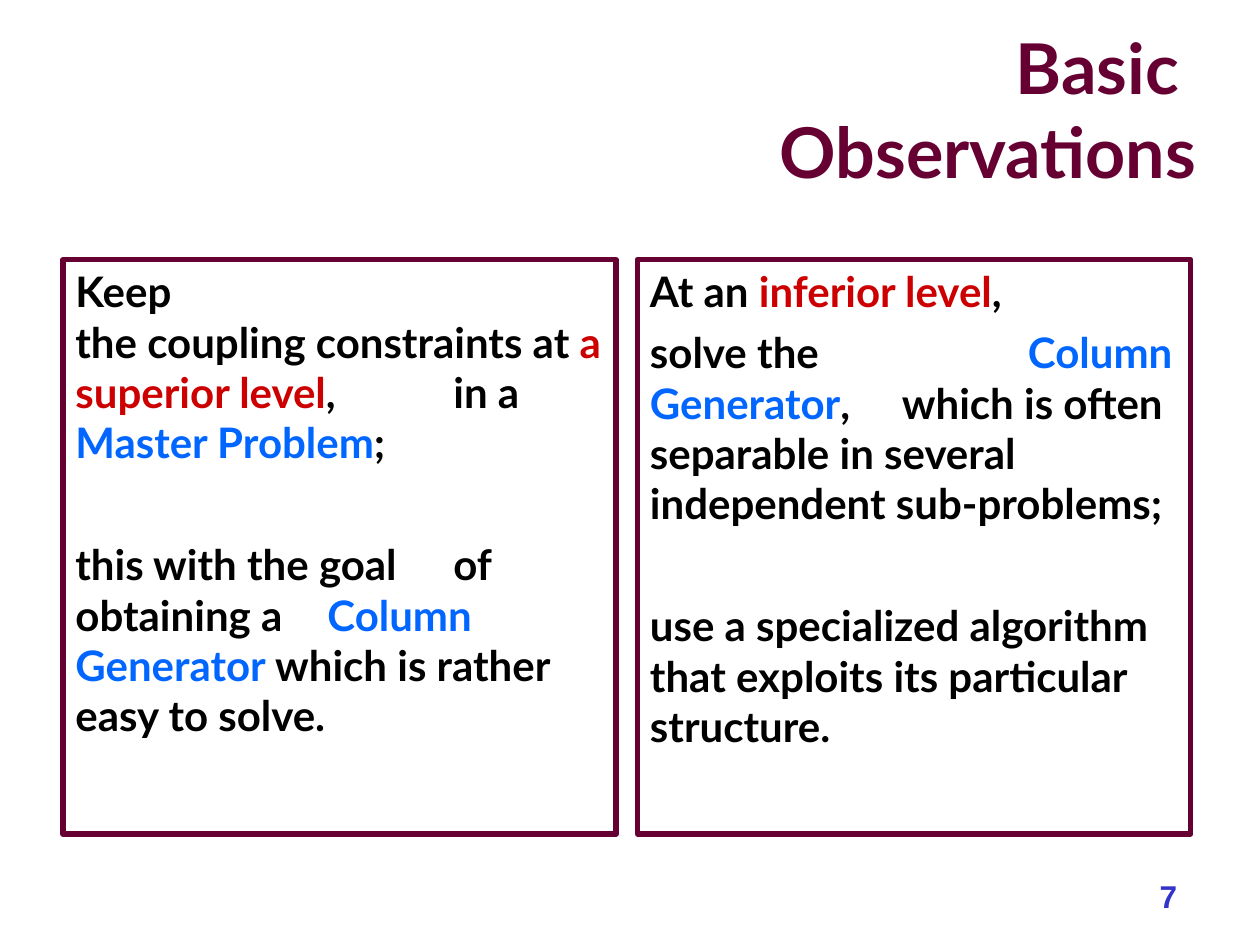
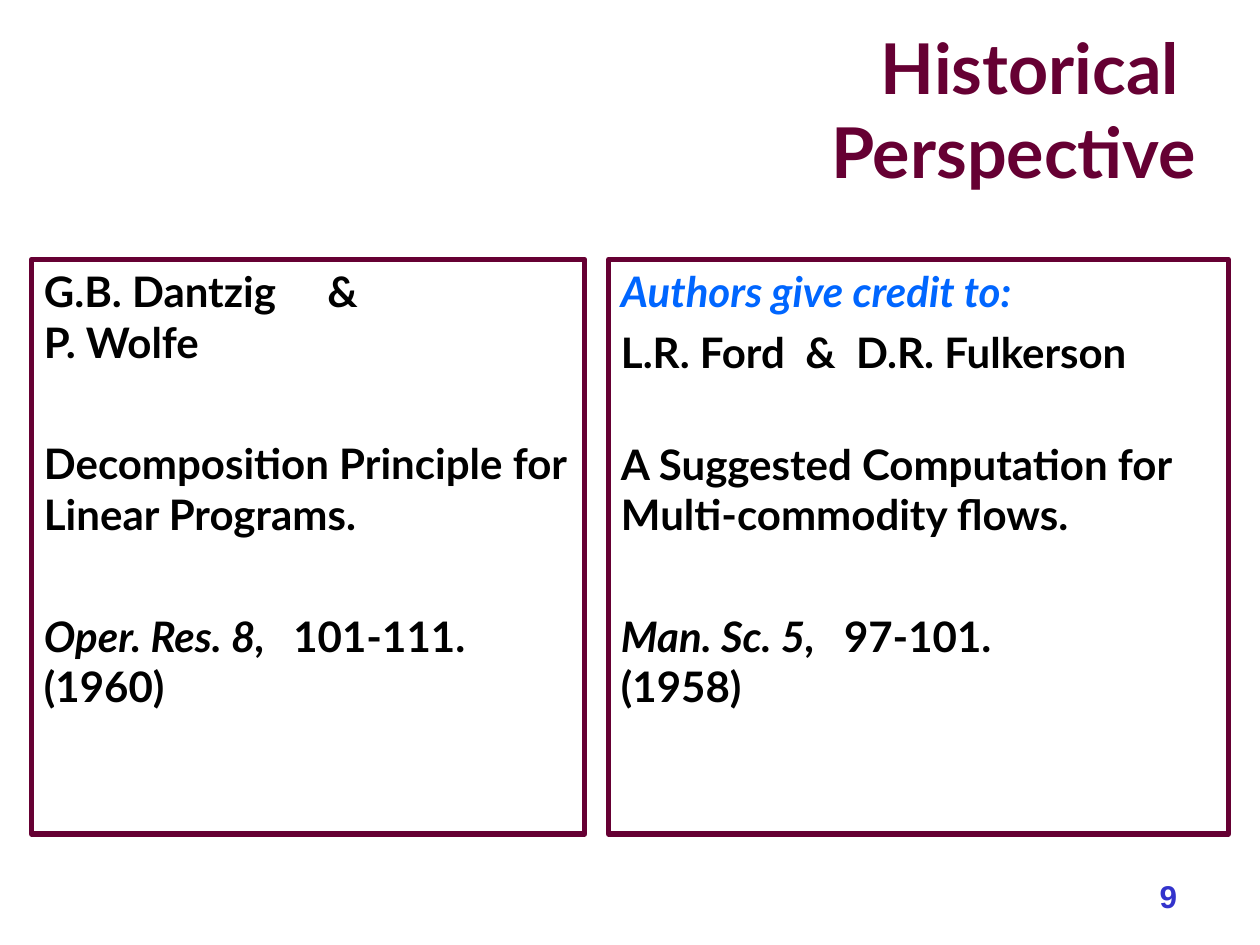
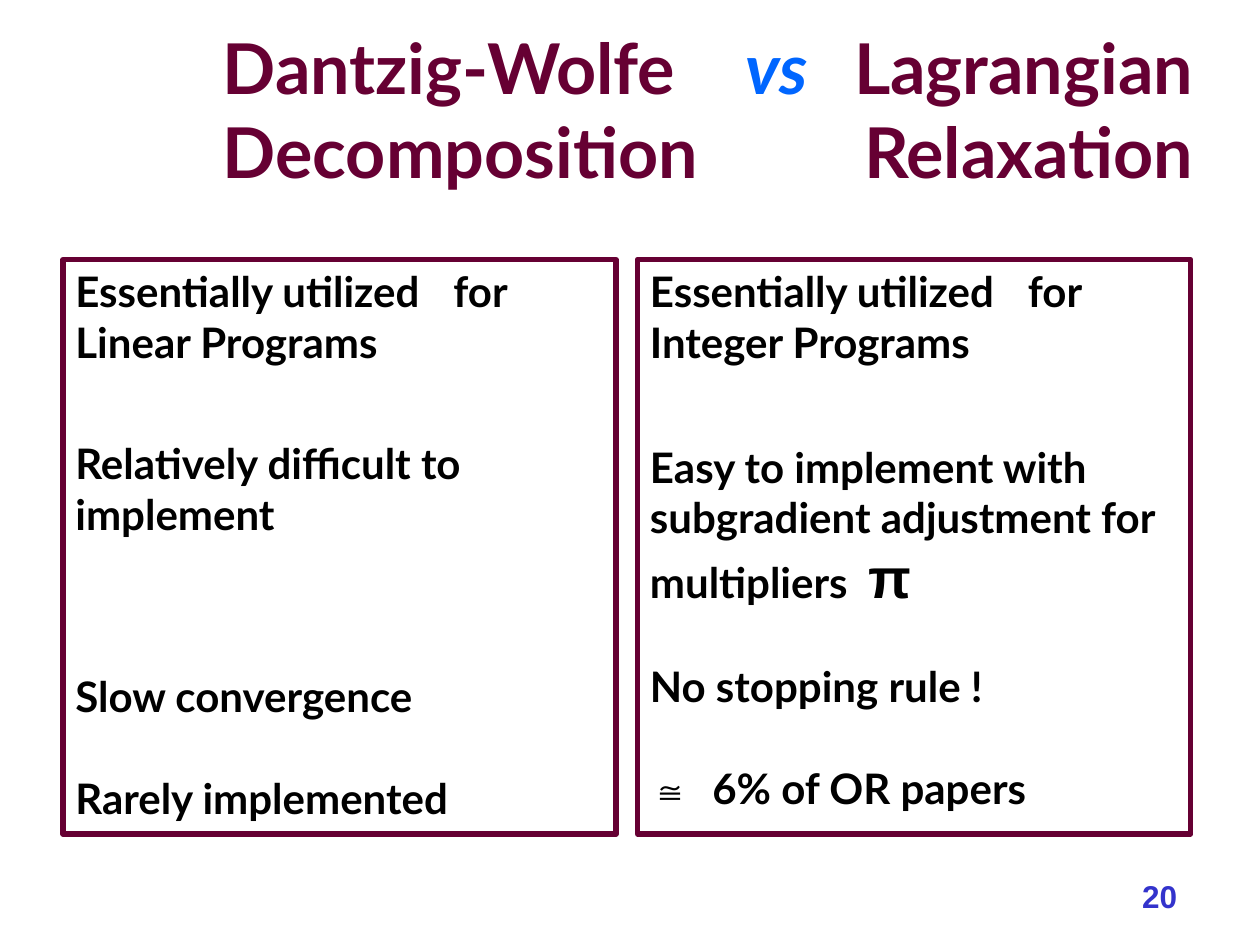
from lxml.etree import SubElement
from pptx import Presentation
from pptx.dml.color import RGBColor
from pptx.enum.shapes import MSO_SHAPE
from pptx.enum.text import MSO_ANCHOR, PP_ALIGN
from pptx.oxml.ns import qn
from pptx.util import Inches, Pt

WINE, BLACK, RED, BLUE, NAVY = "660033", "000000", "CC0000", "0066FF", "3333CC"
HEAD = dict(size=40, name="Lato", bold=True, color=WINE)
BODY = dict(size=24, name="Lato", bold=True, color=BLACK)
FOOT = dict(size=18, name="Arial", bold=True, color=NAVY)
HOT, KEY, SLANT = dict(color=RED), dict(color=BLUE), dict(italic=True)

TITLE = (0.42, 0.25, 9.17, 1.33)
NUMBER = (5.83, 6.81, 3.61, 0.5)
TOP, TALL = 2.06, 4.56
LEFT, RIGHT = (0.5, TOP, 4.39, TALL), (5.06, TOP, 4.39, TALL)
STOPS = [(inch, "l") for inch in range(1, 8)]
NEAR, WIDE, FAR = 6, 40.8, 75.6  # points before a paragraph


def rgb(code):
    return RGBColor.from_string(code)


def para(*parts, gap=NEAR, stops=STOPS):
    """A paragraph: each part is a string or a (string, format) pair."""
    return dict(parts=parts, gap=gap, stops=stops)


def style(font, look):
    for key, value in look.items():
        if key == "color":
            font.color.rgb = rgb(value)
        else:
            setattr(font, key, Pt(value) if key == "size" else value)


def add_tabs(line, stops):
    tabs = SubElement(line._p.get_or_add_pPr(), qn("a:tabLst"))
    for inch, side in stops:
        SubElement(tabs, qn("a:tab"), pos=str(Inches(inch)), algn=side)


def write(frame, paras, look, align=PP_ALIGN.LEFT, anchor=MSO_ANCHOR.TOP):
    frame.word_wrap = True
    frame.vertical_anchor = anchor
    for i, item in enumerate(paras):
        line = frame.add_paragraph() if i else frame.paragraphs[0]
        line.alignment = align
        line.space_before = Pt(item["gap"])
        add_tabs(line, item["stops"])
        for part in item["parts"]:
            text, extra = (part, {}) if isinstance(part, str) else part
            for j, row in enumerate(text.split("\n")):
                if j:
                    line.add_line_break()
                run = line.add_run()
                run.text = row
                style(run.font, {**look, **extra})


def add_text(slide, box, paras, look, align):
    shape = slide.shapes.add_textbox(*map(Inches, box))
    write(shape.text_frame, paras, look, align, MSO_ANCHOR.BOTTOM)


def panel(slide, box, paras):
    shape = slide.shapes.add_shape(MSO_SHAPE.RECTANGLE, *map(Inches, box))
    shape.shadow.inherit = False
    shape.fill.background()
    shape.line.color.rgb = rgb(WINE)
    shape.line.width = Pt(3)
    write(shape.text_frame, paras, BODY)


def add_page(deck, number, title, panels, align=PP_ALIGN.RIGHT):
    slide = deck.slides.add_slide(deck.slide_layouts[6])
    add_text(slide, TITLE, title, HEAD, align)
    for box, paras in panels:
        panel(slide, box, paras)
    add_text(slide, NUMBER, [para(str(number), gap=11.2)], FOOT, PP_ALIGN.RIGHT)


def basics(deck):
    keep = [
        para("Keep\nthe coupling constraints at ", ("a superior level", HOT),
             ",\tin a ", ("Master Problem", KEY), ";"),
        para("this with the goal \tof obtaining a \t", ("Column Generator", KEY),
             " which is rather easy to solve.", gap=WIDE),
    ]
    solve = [
        para("At an ", ("inferior level", HOT), ","),
        para("solve the \t\t", ("Column Generator", KEY),
             ", \twhich is often separable in several independent sub-problems;"),
        para("use a specialized algorithm that exploits its particular structure.",
             gap=WIDE),
    ]
    title = [para("Basic \nObservations", gap=0)]
    add_page(deck, 7, title, [(LEFT, keep), (RIGHT, solve)])


def history(deck):
    first = [
        para("G.B. Dantzig\t&\nP. Wolfe", stops=[(2.25, "l")]),
        para("Decomposition Principle for Linear Programs.", gap=WIDE),
        para(("Oper. Res. 8,", SLANT), "\t101-111.\n(1960)", gap=WIDE,
             stops=[(1.98, "l")]),
    ]
    credit = [
        para(("Authors give credit to:", {**KEY, **SLANT})),
        para("L.R. Ford  &  D.R. Fulkerson"),
        para("A Suggested Computation for Multi-commodity flows.", gap=35),
        para(("Man. Sc. 5,", SLANT), "\t97-101.\n(1958)", gap=WIDE,
             stops=[(1.77, "l")]),
    ]
    title = [para("Historical \nPerspective", gap=0)]
    boxes = (0.25, TOP, 4.39, TALL), (4.83, TOP, 4.92, TALL)
    add_page(deck, 9, title, zip(boxes, (first, credit)))


def versus(deck):
    start, end = (1.25, "l"), (8.95, "r")
    title = [
        para("\tDantzig-Wolfe\t", ("vs", {**KEY, **SLANT}), "\tLagrangian",
             gap=0, stops=[start, (5.4, "l"), end]),
        para("\tDecomposition\tRelaxation", gap=0, stops=[start, end]),
    ]
    linear = [
        para("Essentially utilized\tfor Linear Programs"),
        para("Relatively difficult to implement", gap=WIDE),
        para("Slow convergence", gap=FAR),
        para("Rarely implemented", gap=29.2),
    ]
    whole = [
        para("Essentially utilized\tfor Integer Programs"),
        para("Easy to implement with subgradient adjustment for multipliers  ",
             ("π", dict(size=32, name="Arial")), gap=42.8),
        para("No stopping rule !", gap=29.2),
        para(("≅", dict(name="Arial")), "  6% of OR papers", gap=29.2),
    ]
    add_page(deck, 20, title, [(LEFT, linear), (RIGHT, whole)], PP_ALIGN.LEFT)


def main():
    deck = Presentation()
    deck.slide_width, deck.slide_height = Inches(10), Inches(7.5)
    for build in (basics, history, versus):
        build(deck)
    deck.save("out.pptx")


if __name__ == "__main__":
    main()
